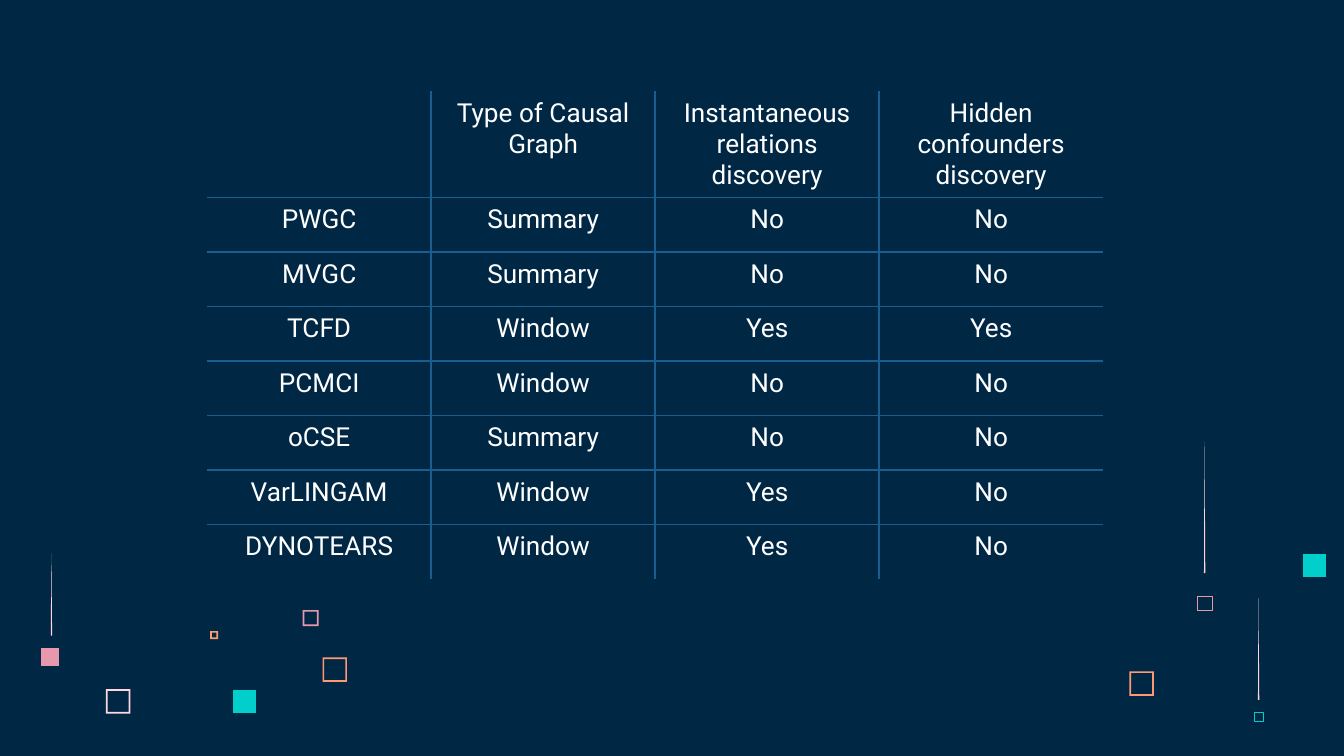
from lxml.etree import SubElement
from pptx import Presentation
from pptx.dml.color import RGBColor
from pptx.enum.text import PP_ALIGN
from pptx.oxml.ns import qn
from pptx.util import Pt

NAVY, BLUE, WHITE = "002845", "1A5E8F", "FFFFFF"
TEAL, PINK, BLUSH, ORANGE = "00CFCC", "E898AC", "FFD6E1", "FF9973"
FONT = {"name": "Roboto", "size": Pt(14)}

ROWS = [
    ("", "Type of Causal Graph", "Instantaneous relations discovery",
     "Hidden confounders discovery"),
    ("PWGC", "Summary", "No", "No"),
    ("MVGC", "Summary", "No", "No"),
    ("TCFD", "Window", "Yes", "Yes"),
    ("PCMCI", "Window", "No", "No"),
    ("oCSE", "Summary", "No", "No"),
    ("VarLINGAM", "Window", "Yes", "No"),
    ("DYNOTEARS", "Window", "Yes", "No"),
]

# Decorations: left, top, size in points, colour
RINGS = [
    (56.8, 369.2, 13.1, BLUSH),
    (162.1, 326.8, 8.6, PINK),
    (112.6, 338.1, 4.3, ORANGE),
    (172.8, 352.2, 13.1, ORANGE),
    (605.1, 359.7, 13.1, ORANGE),
]
SQUARES = [
    (124.8, 369.7, 12.3, TEAL),
    (22, 347.2, 9.6, PINK),
    (698, 296.8, 12.3, TEAL),
]
OUTLINES = [
    (641.4, 319.2, 8, PINK),
    (672, 381.6, 4.6, TEAL),
]
# Streaks: left, top, height in points
STREAKS = [(645, 236.6, 70.4), (27.2, 296.5, 44), (673.9, 320.2, 54.8)]


def rgb(color):
    return RGBColor.from_string(color)


def square(x, y, size):
    return [(x, y), (x + size, y), (x + size, y + size), (x, y + size)]


def add_outline(slide, contours, fill=None, line=None):
    """Draw closed contours, filled or with a hairline."""
    contours = [[(Pt(x), Pt(y)) for x, y in c] for c in contours]
    first, *others = contours
    fb = slide.shapes.build_freeform(*first[0])
    fb.add_line_segments(first[1:], close=True)
    for contour in others:
        fb.move_to(*contour[0])
        fb.add_line_segments(contour[1:], close=True)
    sp = fb.convert_to_shape()
    sp.shadow.inherit = False
    for part, color in ((sp.fill, fill), (sp.line.fill, line)):
        if color:
            part.solid()
            part.fore_color.rgb = rgb(color)
        else:
            part.background()
    if line:
        sp.line.width = Pt(0.23)


def add_decorations(slide):
    for x, y, size, color in RINGS:
        hole = square(x + 0.9, y + 0.9, size - 1.8)
        add_outline(slide, [square(x, y, size), hole[::-1]], fill=color)
    for x, y, size, color in SQUARES:
        add_outline(slide, [square(x, y, size)], fill=color)
    for x, y, size, color in OUTLINES:
        add_outline(slide, [square(x, y, size)], line=color)
    for x, y, height in STREAKS:
        tip = [(x + 0.3, y), (x, y + height), (x + 0.7, y + height)]
        add_outline(slide, [tip], fill=BLUSH)


def set_borders(cell, edges):
    """Draw the inner edges of a cell and clear the outer ones."""
    tcPr = cell._tc.get_or_add_tcPr()
    for side, inner in edges.items():
        ln = SubElement(tcPr, qn(f"a:ln{side}"), w=str(Pt(1)))
        if inner:
            fill = SubElement(ln, qn("a:solidFill"))
            SubElement(fill, qn("a:srgbClr"), val=BLUE)
        else:
            SubElement(ln, qn("a:noFill"))


def add_comparison_table(slide, x, y, w, h, header_h):
    n_rows, n_cols = len(ROWS), len(ROWS[0])
    table = slide.shapes.add_table(
        n_rows, n_cols, Pt(x), Pt(y), Pt(w), Pt(h)).table
    table.first_row = table.horz_banding = False
    for i, row in enumerate(table.rows):
        row.height = Pt((h - header_h) / (n_rows - 1) if i else header_h)

    for i, texts in enumerate(ROWS):
        for j, text in enumerate(texts):
            cell = table.cell(i, j)
            set_borders(cell, {"L": j > 0, "R": j < n_cols - 1,
                               "T": i > 0, "B": i < n_rows - 1})
            cell.fill.background()
            p = cell.text_frame.paragraphs[0]
            p.alignment = PP_ALIGN.CENTER
            if text:
                r = p.add_run()
                r.text = text
                for key, value in FONT.items():
                    setattr(r.font, key, value)
                r.font.color.rgb = rgb(WHITE)


def main():
    prs = Presentation()
    prs.slide_width, prs.slide_height = Pt(720), Pt(405)
    slide = prs.slides.add_slide(prs.slide_layouts[6])
    bg = slide.background.fill
    bg.solid()
    bg.fore_color.rgb = rgb(NAVY)
    add_decorations(slide)
    add_comparison_table(slide, 111, 49, 480, 261.2, 56.8)
    prs.save("out.pptx")


if __name__ == "__main__":
    main()
